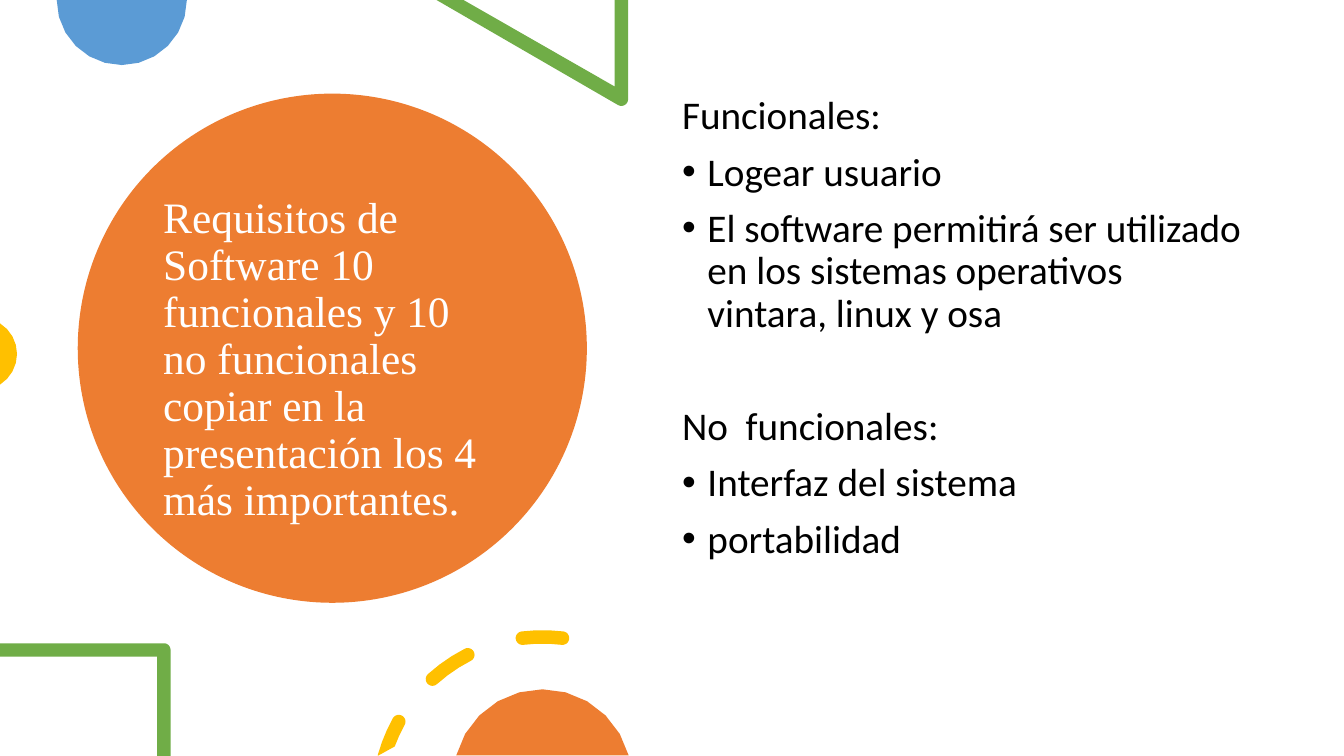
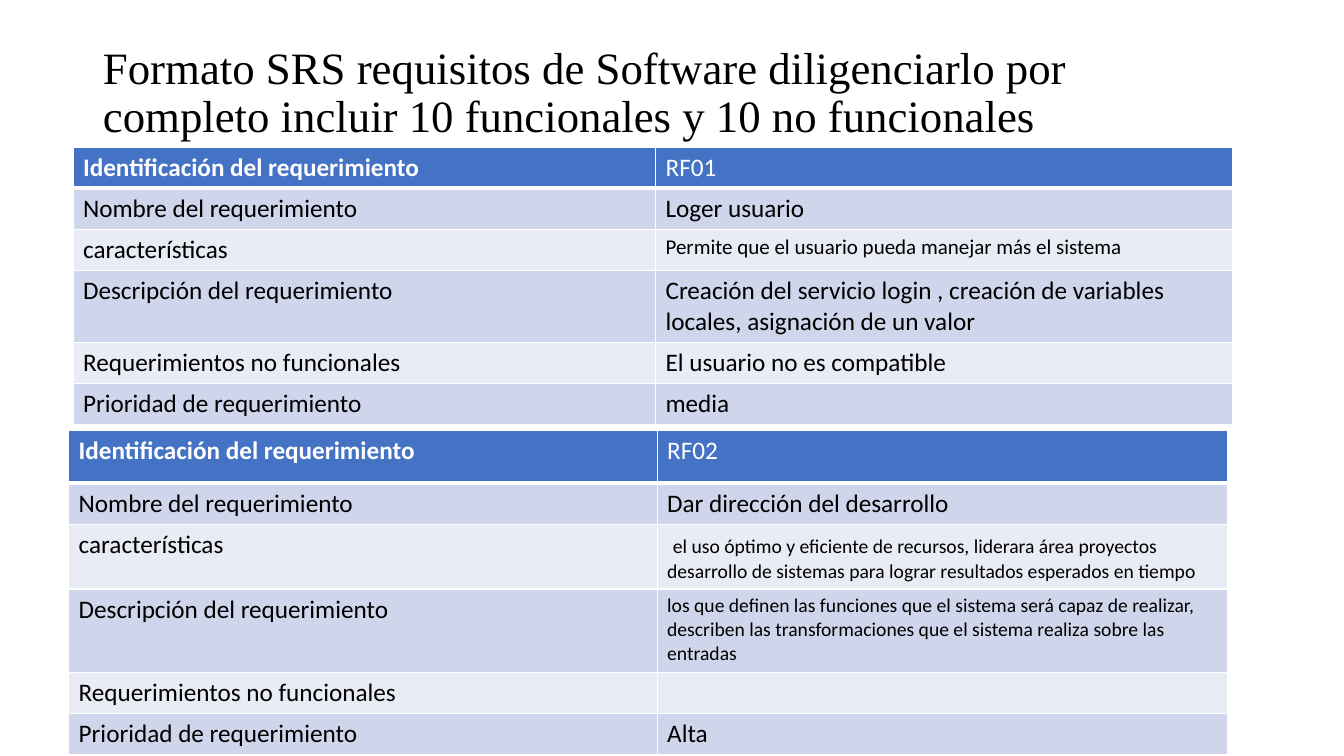
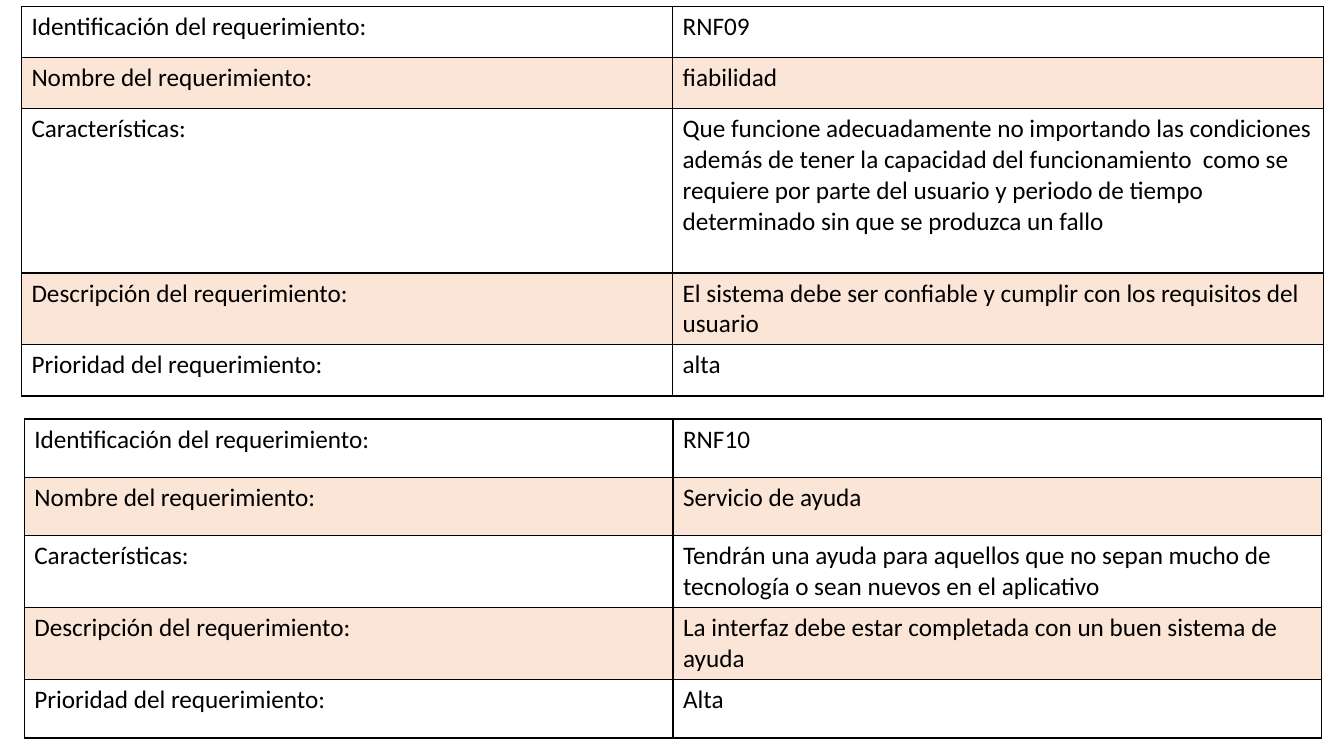
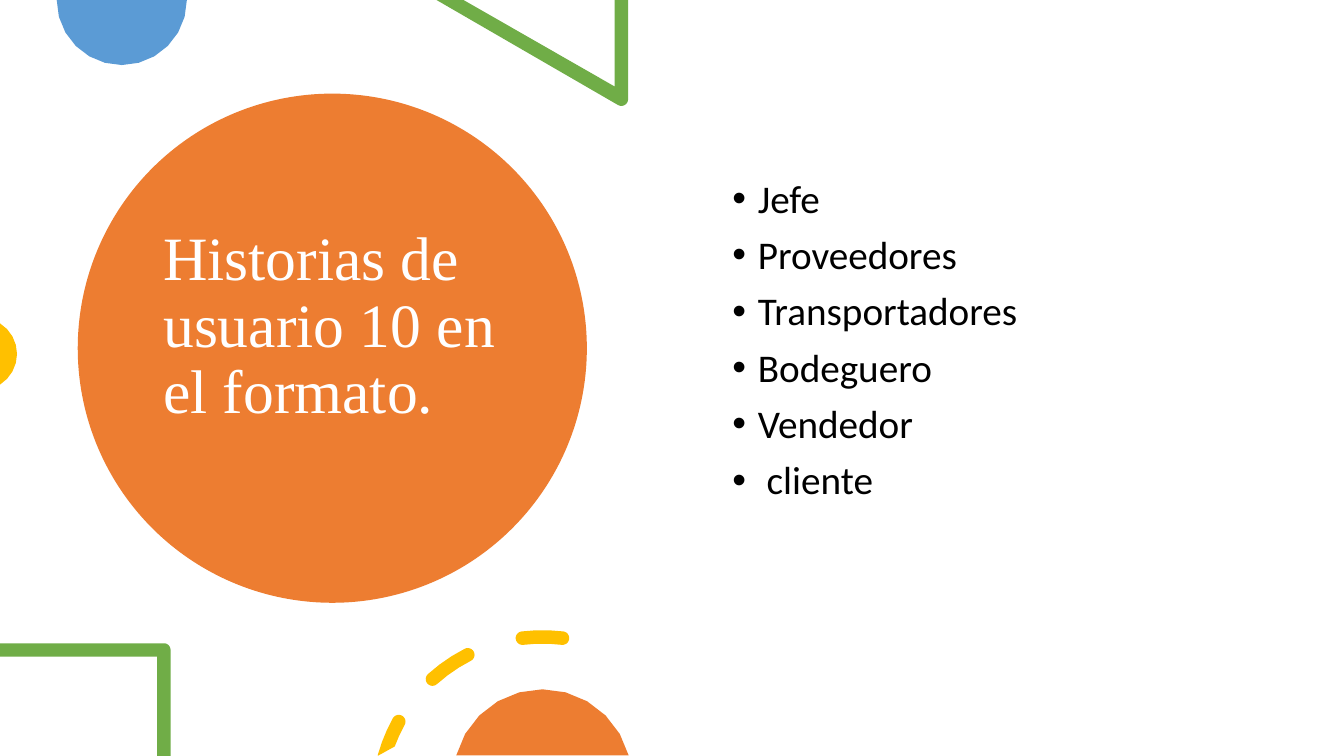
from math import ceil, cos, radians, sin

from pptx import Presentation
from pptx.dml.color import RGBColor
from pptx.enum.shapes import MSO_SHAPE as Shape
from pptx.enum.text import MSO_ANCHOR as Anchor, PP_ALIGN as Align
from pptx.oxml.ns import qn
from pptx.util import Cm, Pt
from lxml.etree import SubElement

WIDTH, HEIGHT = 33.87, 19.05
BODY_FONT, TITLE_FONT = "Calibri", "Times New Roman"
COLOURS = {
    "orange": "ED7D31", "blue": "5B9BD5", "green": "70AD47", "yellow": "FFC000",
    "header": "4472C4", "band": "CFD5EA", "light": "E9EBF5", "peach": "FBE5D6",
    "white": "FFFFFF", "black": "000000",
}

REQUIREMENTS = {
    "title": "Requisitos de Software 10 funcionales y 10 no funcionales copiar en la presentación los 4 más importantes.",
    "title_size": 31, "title_height": 11.3, "body_at": (16.94, 2.29),
    "groups": [
        ("Funcionales:", ["Logear usuario",
                          "El software permitirá ser utilizado en los sistemas operativos vintara, linux y osa"]),
        ("No  funcionales:", ["Interfaz del sistema", "portabilidad"]),
    ],
}
STORIES = {
    "title": "Historias de usuario 10 en el formato.",
    "title_size": 44, "title_height": 9.63, "body_at": (18.21, 4.39),
    "groups": [("", ["Jefe", "Proveedores", "Transportadores", "Bodeguero", "Vendedor", " cliente"])],
}

FORMAT_TITLE = "Formato SRS requisitos de Software diligenciarlo por completo incluir 10 funcionales y 10 no funcionales"
FORMAT_LABELS = ["Identificación del requerimiento", "Nombre del requerimiento", "características",
                 "Descripción del requerimiento", "Requerimientos no funcionales",
                 "Prioridad de requerimiento"]
FORMAT_TABLES = [
    {"at": (1.84, 3.71), "columns": (14.68, 14.53), "rows": (1.02, 1.04, 1.04, 1.8, 1.04, 1.04),
     "values": ["RF01", "Loger usuario",
                [("Permite que el usuario pueda manejar más el sistema", 15)],
                "Creación del servicio login , creación de variables locales, asignación de un valor",
                "El usuario no es compatible", "media"]},
    {"at": (1.73, 10.85), "columns": (14.83, 14.38), "rows": (1.32, 1.04, 1.63, 2.1, 1.04, 1.04),
     "values": ["RF02", "Dar dirección del desarrollo",
                [(" ", 18),
                 ("el uso óptimo y eficiente de recursos, liderara área proyectos desarrollo de sistemas para lograr resultados esperados en tiempo", 14)],
                [("los que definen las funciones que el sistema será capaz de realizar, describen las transformaciones que el sistema realiza sobre las entradas", 14)],
                "", "Alta"]},
]

QUALITY_LABELS = ["Identificación del requerimiento:", "Nombre del requerimiento:", "Características:",
                  "Descripción del requerimiento:", "Prioridad del requerimiento:"]
QUALITY_TABLES = [
    {"at": (0.54, 0.16), "columns": (16.41, 16.41), "rows": (1.29, 1.29, 4.14, 1.81, 1.29),
     "values": ["RNF09", "fiabilidad",
                "Que funcione adecuadamente no importando las condiciones además de tener la capacidad del funcionamiento  como se requiere por parte del usuario y periodo de tiempo determinado sin que se produzca un fallo",
                "El sistema debe ser confiable y cumplir con los requisitos del usuario", "alta"]},
    {"at": (0.61, 10.56), "columns": (16.35, 16.35), "rows": (1.47, 1.47, 1.8, 1.82, 1.47),
     "values": ["RNF10", "Servicio de ayuda",
                "Tendrán una ayuda para aquellos que no sepan mucho de tecnología o sean nuevos en el aplicativo",
                "La interfaz debe estar completada con un buen sistema de ayuda", "Alta"]},
]


def polar(x, y, radius, angle):
    return x + radius * cos(radians(angle)), y + radius * sin(radians(angle))


def arc(x, y, radius, start, end):
    steps = max(3, ceil(abs(end - start) / 15))
    return [polar(x, y, radius, start + (end - start) * i / steps) for i in range(steps + 1)]


def dash(start, end, x=13.67, y=20.19, radius=4.14, half=0.17):
    tail, head = polar(x, y, radius, start), polar(x, y, radius, end)
    return (arc(x, y, radius + half, start, end) + arc(*head, half, end, end + 180)
            + arc(x, y, radius - half, end, start) + arc(*tail, half, start + 180, start + 360))


DECORATION = [
    ("blue", arc(3.07, 0, 1.64, 0, 180)),
    ("green", [(15.83, 0), (15.49, 0), (15.49, 2.18), (11.68, 0), (11, 0),
               *arc(15.66, 2.5, 0.17, 120, 0)]),
    ("yellow", arc(-0.48, 8.92, 0.91, -58, 58)),
    ("green", [(0, 16.21), (0, 16.55), (3.96, 16.55), (3.96, HEIGHT), (4.3, HEIGHT),
               *arc(4.13, 16.38, 0.17, 0, -90)]),
    *[("yellow", dash(*span)) for span in [(196, 209), (228, 243), (263, 277)]],
    ("orange", arc(13.67, 19.62, 2.25, 195, 345)),
]


def rgb(name):
    return RGBColor.from_string(COLOURS[name])


def paint(shape, colour):
    shape.shadow.inherit = False
    shape.fill.solid()
    shape.fill.fore_color.rgb = rgb(colour)
    shape.line.fill.background()


def style(paragraph, size, font=BODY_FONT, colour="black", bold=False):
    for span in paragraph.runs:
        span.font.size, span.font.name, span.font.bold = Pt(size), font, bold
        span.font.color.rgb = rgb(colour)


def add_title(page, text, size, colour, left, top, width, height):
    title = page.shapes.title
    title.left, title.top, title.width, title.height = map(Cm, (left, top, width, height))
    title.text_frame.text = text
    title.text_frame.vertical_anchor = Anchor.MIDDLE
    paragraph = title.text_frame.paragraphs[0]
    paragraph.alignment, paragraph.line_spacing = Align.LEFT, 0.9
    style(paragraph, size, TITLE_FONT, colour)
    return title


def add_outline(page, colour, points):
    visible = [(Cm(x), Cm(y)) for x, y in points if 0 <= x <= WIDTH and 0 <= y <= HEIGHT]
    builder = page.shapes.build_freeform(*visible[0])
    builder.add_line_segments(visible[1:])
    paint(builder.convert_to_shape(), colour)


def add_bullet(paragraph):
    properties = paragraph._p.get_or_add_pPr()
    properties.set("marL", str(Cm(0.64)))
    properties.set("indent", str(-Cm(0.64)))
    SubElement(properties, qn("a:buFont")).set("typeface", "Arial")
    SubElement(properties, qn("a:buChar")).set("char", "•")


def add_groups(page, groups, left, top):
    box = page.shapes.add_textbox(Cm(left), Cm(top), Cm(14.61), Cm(13.59))
    frame = box.text_frame
    frame.word_wrap = True
    lines = [(text, bulleted) for heading, items in groups
             for text, bulleted in [(heading, False)] + [(item, True) for item in items] if text]
    for index, (text, bulleted) in enumerate(lines):
        paragraph = frame.add_paragraph() if index else frame.paragraphs[0]
        paragraph.text = text
        if bulleted:
            add_bullet(paragraph)
        if index:
            paragraph.space_before = Pt(10 if bulleted else 50.8)
        paragraph.line_spacing = 0.9
        style(paragraph, 28)


def add_circle_slide(deck, content):
    page = deck.slides.add_slide(deck.slide_layouts[5])
    title = add_title(page, content["title"], content["title_size"], "white",
                      3.86, 3.43, 8.99, content["title_height"])
    circle = page.shapes.add_shape(Shape.OVAL, Cm(1.96), Cm(2.36), Cm(12.83), Cm(12.83))
    paint(circle, "orange")
    title._element.addprevious(circle._element)
    for colour, points in DECORATION:
        add_outline(page, colour, points)
    add_groups(page, content["groups"], *content["body_at"])


def set_borders(cell, colour, widths):
    properties = cell._tc.get_or_add_tcPr()
    for side, width in zip("LRTB", widths):
        line = SubElement(properties, qn(f"a:ln{side}"), w=str(Pt(width)))
        fill = SubElement(line, qn("a:solidFill"))
        SubElement(fill, qn("a:srgbClr"), val=COLOURS[colour])


def add_grid(page, content, labels, fills, border, header=False):
    columns, rows = content["columns"], content["rows"]
    sizes = map(Cm, (*content["at"], sum(columns), sum(rows)))
    table = page.shapes.add_table(len(rows), len(columns), *sizes).table
    table.first_row = table.horz_banding = False
    for column, width in zip(table.columns, columns):
        column.width = Cm(width)
    for r, texts in enumerate(zip(labels, content["values"])):
        table.rows[r].height = Cm(rows[r])
        heading = header and r == 0
        fill = "header" if heading else fills[r % 2]
        for c, text in enumerate(texts):
            cell = table.cell(r, c)
            top = 3 if header and r == 1 else 1
            set_borders(cell, border, (1, 1, top, 3 if heading else 1))
            if fill:
                cell.fill.solid()
                cell.fill.fore_color.rgb = rgb(fill)
            else:
                cell.fill.background()
            paragraph = cell.text_frame.paragraphs[0]
            pieces = [(text, 18)] if isinstance(text, str) else text
            for piece, _ in pieces:
                if piece:
                    paragraph.add_run().text = piece
            style(paragraph, 18, colour="white" if heading else "black", bold=heading and c == 0)
            for span, (_, size) in zip(paragraph.runs, pieces):
                span.font.size = Pt(size)


def main():
    deck = Presentation()
    deck.slide_width, deck.slide_height = Cm(WIDTH), Cm(HEIGHT)

    add_circle_slide(deck, REQUIREMENTS)

    page = deck.slides.add_slide(deck.slide_layouts[5])
    add_title(page, FORMAT_TITLE, 32, "black", 2.34, 1.37, 29.21, 2.01)
    for content in FORMAT_TABLES:
        add_grid(page, content, FORMAT_LABELS, ("light", "band"), "white", header=True)

    page = deck.slides.add_slide(deck.slide_layouts[6])
    for content in QUALITY_TABLES:
        add_grid(page, content, QUALITY_LABELS, (None, "peach"), "black")

    add_circle_slide(deck, STORIES)
    deck.save("out.pptx")


if __name__ == "__main__":
    main()
